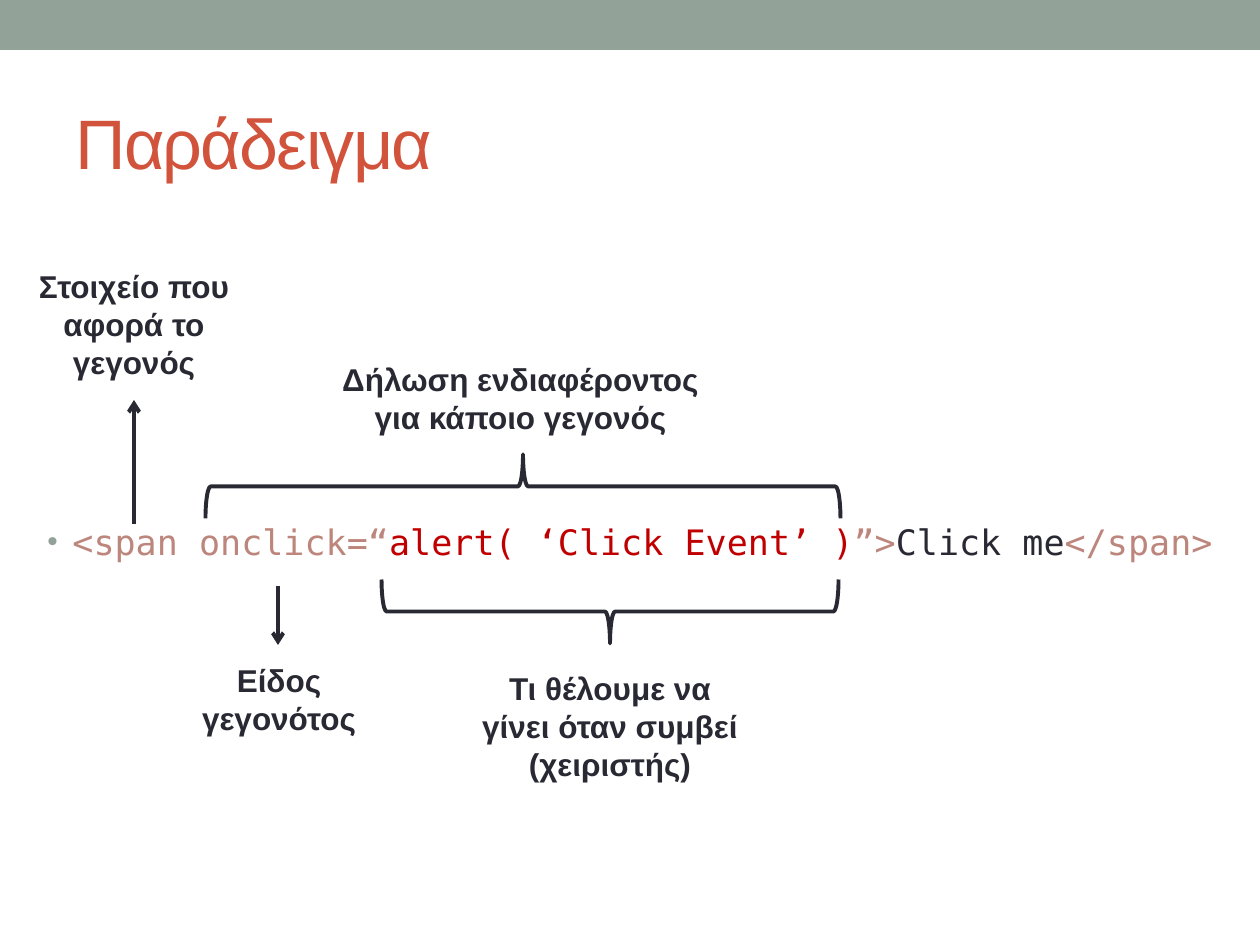
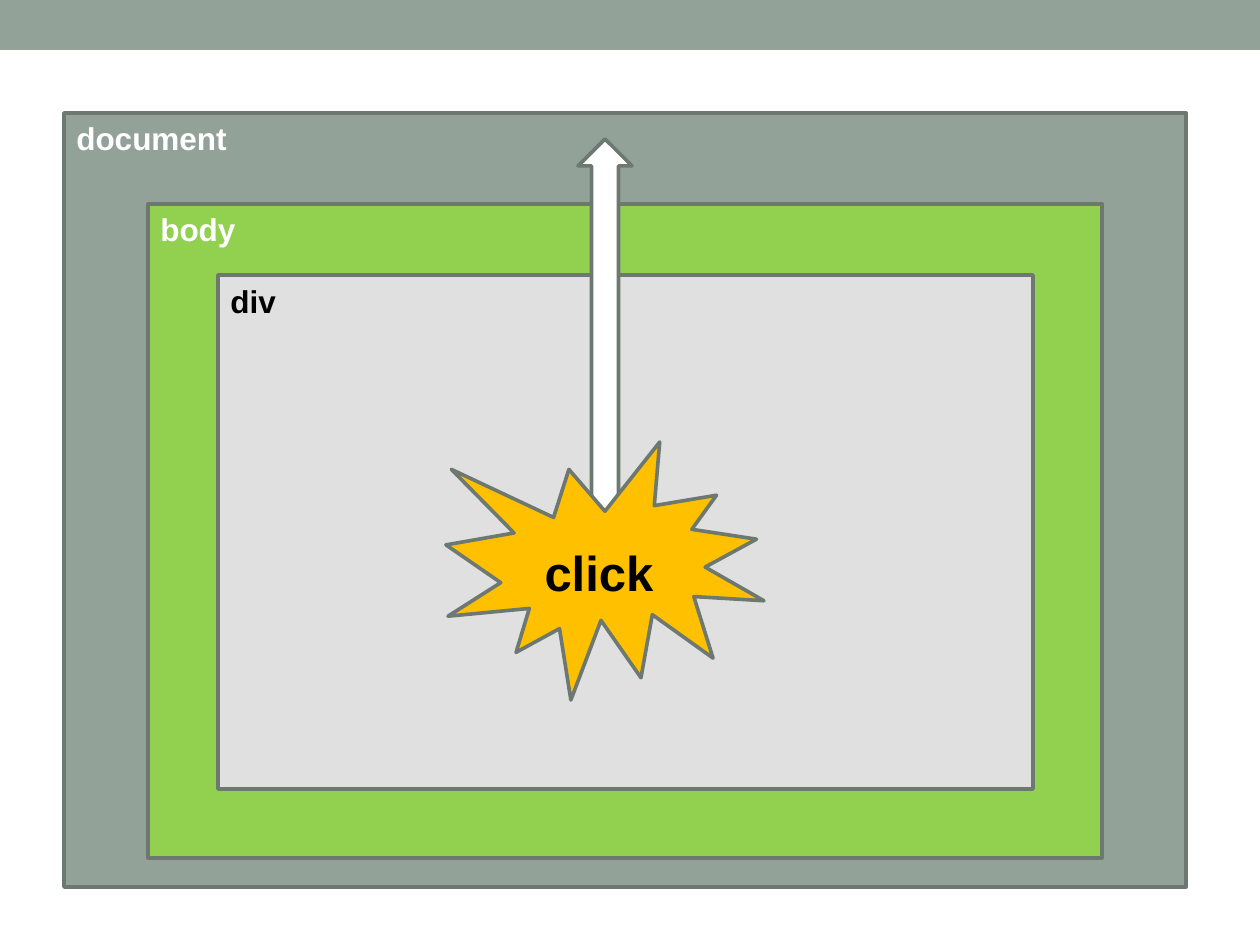
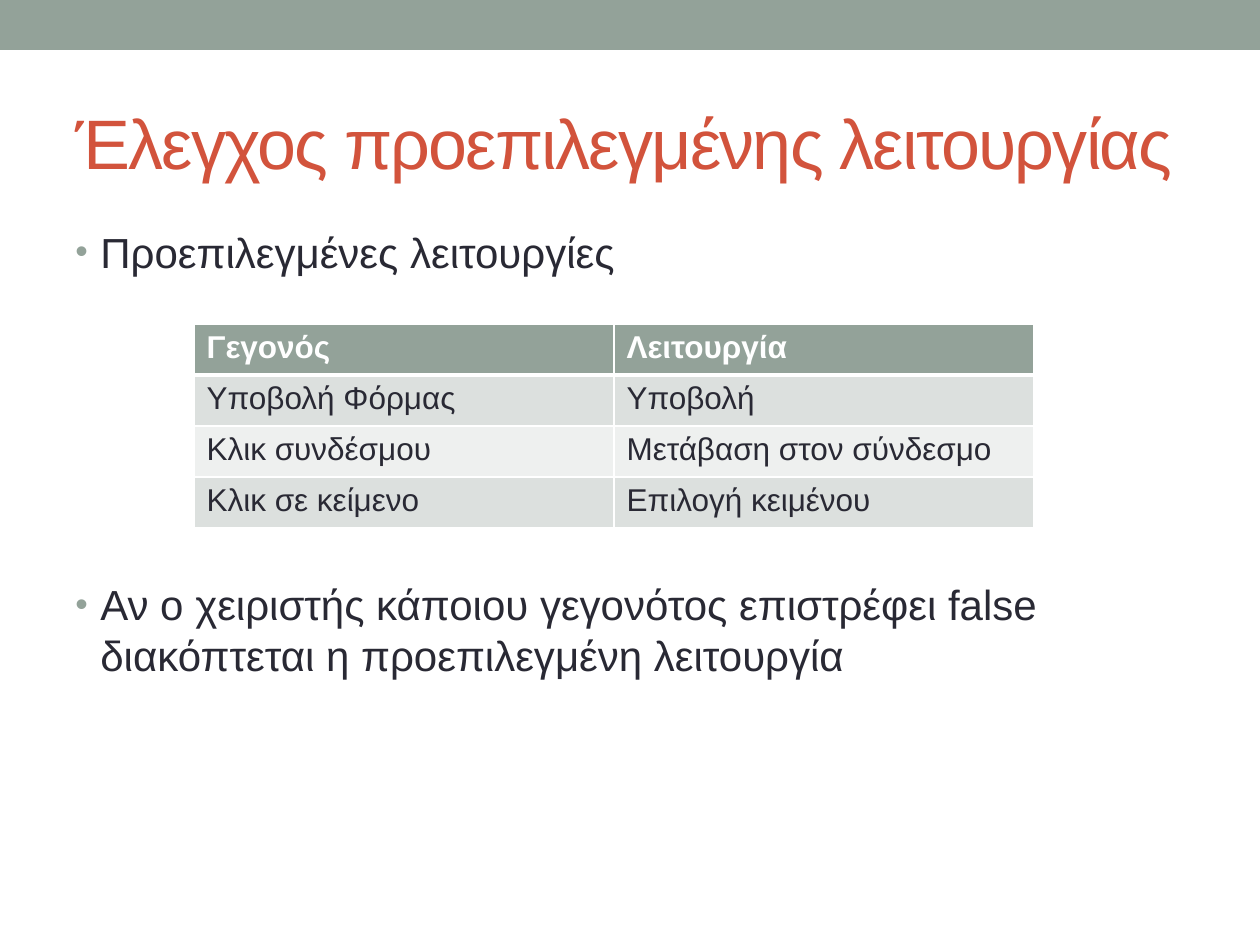
from typing import NamedTuple

import pptx
import pptx.dml.color
import pptx.enum.shapes
import pptx.enum.text
import pptx.oxml
import pptx.oxml.ns
import pptx.presentation
import pptx.shapes.autoshape
import pptx.slide
import pptx.text.text
import pptx.util
from lxml import etree

PX_PER_INCH = 126
SLIDE_WIDTH, SLIDE_HEIGHT = 1260, 945
SANS, MONO = "Arial", "DejaVu Sans Mono"
COLORS = {
    "sage": "93A299",
    "title": "D2533C",
    "ink": "292934",
    "tag": "BD867C",
    "script": "C00000",
    "outline": "6D7871",
    "white": "FFFFFF",
    "black": "000000",
    "green": "92D050",
    "gray": "E0E0E0",
    "amber": "FFC000",
    "row_dark": "DCE0DE",
    "row_light": "EEF0EF",
}
SHAPES = pptx.enum.shapes.MSO_SHAPE
LEFT, CENTER = pptx.enum.text.PP_ALIGN.LEFT, pptx.enum.text.PP_ALIGN.CENTER


class Box(NamedTuple):
    left: int
    top: int
    width: int
    height: int


class Label(NamedTuple):
    text: str
    box: Box
    color: str = "ink"
    size: int = 18
    align: pptx.enum.text.PP_ALIGN = CENTER


class Brace(NamedTuple):
    box: Box
    rotation: int


class Arrow(NamedTuple):
    x: int
    start: int
    end: int


class Figure(NamedTuple):
    kind: pptx.enum.shapes.MSO_SHAPE
    box: Box
    fill: str


def px(length: int) -> int:
    return pptx.util.Emu(round(length * pptx.util.Inches(1) / PX_PER_INCH))


def emu(box: Box) -> list[int]:
    return [px(length) for length in box]


def rgb(color: str) -> pptx.dml.color.RGBColor:
    return pptx.dml.color.RGBColor.from_string(COLORS[color])


def add_element(parent: etree._Element, tag: str, **attributes: str) -> etree._Element:
    return etree.SubElement(parent, pptx.oxml.ns.qn(tag), attributes)


# Text
def style(paragraph: pptx.text.text._Paragraph, size: int, color: str,
          bold: bool = False, name: str = SANS) -> None:
    font = paragraph.font
    font.name, font.size, font.bold = name, pptx.util.Pt(size), bold
    font.color.rgb = rgb(color)


def add_bullet(paragraph: pptx.text.text._Paragraph) -> None:
    properties = paragraph._p.get_or_add_pPr()
    properties.set("marL", str(px(25)))
    properties.set("indent", str(-px(25)))
    bullet_color = add_element(properties, "a:buClr")
    add_element(bullet_color, "a:srgbClr", val=COLORS["sage"])
    add_element(properties, "a:buSzPct", val="85000")
    add_element(properties, "a:buFont", typeface=SANS)
    add_element(properties, "a:buChar", char="•")


def add_text_frame(slide: pptx.slide.Slide, box: Box) -> pptx.text.text.TextFrame:
    frame = slide.shapes.add_textbox(*emu(box)).text_frame
    frame.word_wrap = True
    return frame


def add_label(slide: pptx.slide.Slide, label: Label) -> None:
    frame = add_text_frame(slide, label.box)
    frame.text = label.text
    for paragraph in frame.paragraphs:
        paragraph.alignment = label.align
        style(paragraph, label.size, label.color, bold=True)


def add_title(slide: pptx.slide.Slide, text: str) -> None:
    frame = add_text_frame(slide, Box(63, 73, 1134, 136))
    frame.vertical_anchor = pptx.enum.text.MSO_ANCHOR.MIDDLE
    frame.text = text
    paragraph = frame.paragraphs[0]
    style(paragraph, 40, "title")
    paragraph.runs[0]._r.get_or_add_rPr().set("spc", "-100")


# Shapes and lines
def add_figure(slide: pptx.slide.Slide, figure: Figure) -> pptx.shapes.autoshape.Shape:
    shape = slide.shapes.add_shape(figure.kind, *emu(figure.box))
    shape.shadow.inherit = False
    shape.fill.solid()
    shape.fill.fore_color.rgb = rgb(figure.fill)
    shape.line.color.rgb = rgb("outline")
    shape.line.width = pptx.util.Pt(2.08)
    return shape


def add_brace(slide: pptx.slide.Slide, brace: Brace) -> None:
    shape = slide.shapes.add_shape(SHAPES.LEFT_BRACE, *emu(brace.box))
    shape.rotation = brace.rotation
    shape.adjustments[0] = 0.08
    shape.shadow.inherit = False
    shape.fill.background()
    shape.line.color.rgb = rgb("ink")
    shape.line.width = pptx.util.Pt(2.25)


def add_arrow(slide: pptx.slide.Slide, arrow: Arrow) -> None:
    connector = slide.shapes.add_connector(
        pptx.enum.shapes.MSO_CONNECTOR.STRAIGHT,
        px(arrow.x), px(arrow.start), px(arrow.x), px(arrow.end))
    connector.line.color.rgb = rgb("ink")
    connector.line.width = pptx.util.Pt(2.25)
    add_element(connector.line._get_or_add_ln(), "a:tailEnd", type="arrow")
    add_element(connector._element.spPr, "a:effectLst")


def new_slide(deck: pptx.presentation.Presentation) -> pptx.slide.Slide:
    slide = deck.slides.add_slide(deck.slide_layouts[6])
    band = add_figure(slide, Figure(SHAPES.RECTANGLE, Box(0, 0, SLIDE_WIDTH, 50), "sage"))
    band.line.fill.background()
    return slide


# Slide 1: anatomy of an inline event handler
CODE = [
    ("<span onclick=“", "tag"),
    ("alert( ‘Click Event’ )", "script"),
    ("”>", "tag"),
    ("Click me", "ink"),
    ("</span>", "tag"),
]
CODE_BRACES = [Brace(Box(491, 169, 64, 635), 90), Brace(Box(578, 383, 64, 457), 270)]
CODE_ARROWS = [Arrow(278, 586, 645), Arrow(134, 524, 400)]
CODE_LABELS = [
    Label("Δήλωση ενδιαφέροντος για κάποιο γεγονός", Box(317, 354, 407, 89)),
    Label("Είδος γεγονότος", Box(155, 655, 248, 89)),
    Label("Τι θέλουμε να γίνει όταν συμβεί\n(χειριστής)", Box(460, 663, 300, 127)),
    Label("Στοιχείο που αφορά το γεγονός", Box(10, 261, 248, 127)),
]


def build_example(deck: pptx.presentation.Presentation) -> None:
    slide = new_slide(deck)
    add_title(slide, "Παράδειγμα")
    frame = add_text_frame(slide, Box(35, 220, 1191, 672))
    frame.margin_top = px(300)
    frame.margin_right = 0
    code_line = frame.paragraphs[0]
    add_bullet(code_line)
    style(code_line, 20, "ink", name=MONO)
    for text, color in CODE:
        run = code_line.add_run()
        run.text = text
        run.font.color.rgb = rgb(color)
    for brace in CODE_BRACES:
        add_brace(slide, brace)
    for arrow in CODE_ARROWS:
        add_arrow(slide, arrow)
    for label in CODE_LABELS:
        add_label(slide, label)


# Slide 2: a click rising through nested elements
BUBBLING_FIGURES = [
    Figure(SHAPES.RECTANGLE, Box(64, 113, 1122, 774), "sage"),
    Figure(SHAPES.RECTANGLE, Box(148, 204, 954, 654), "green"),
    Figure(SHAPES.RECTANGLE, Box(218, 275, 815, 514), "gray"),
    Figure(SHAPES.UP_ARROW, Box(578, 139, 54, 378), "white"),
    Figure(SHAPES.EXPLOSION1, Box(446, 442, 318, 258), "amber"),
]
BUBBLING_LABELS = [
    Label("document", Box(64, 113, 228, 50), "white", align=LEFT),
    Label("body", Box(148, 204, 228, 50), "white", align=LEFT),
    Label("div", Box(218, 276, 228, 50), "black", align=LEFT),
    Label("click", Box(485, 536, 228, 72), "black", size=28),
]


def build_bubbling(deck: pptx.presentation.Presentation) -> None:
    slide = new_slide(deck)
    for figure in BUBBLING_FIGURES:
        add_figure(slide, figure)
    for label in BUBBLING_LABELS:
        add_label(slide, label)


# Slide 3: default actions
DEFAULT_ACTIONS = [
    ("Γεγονός", "Λειτουργία"),
    ("Υποβολή Φόρμας", "Υποβολή"),
    ("Κλικ συνδέσμου", "Μετάβαση στον σύνδεσμο"),
    ("Κλικ σε κείμενο", "Επιλογή κειμένου"),
]
ACTION_POINTS = [
    ("Προεπιλεγμένες λειτουργίες", 0),
    ("Αν ο χειριστής κάποιου γεγονότος επιστρέφει false "
     "διακόπτεται η προεπιλεγμένη λειτουργία", 302),
]


def add_borders(cell: pptx.table._Cell, row: int) -> None:
    properties = cell._tc.get_or_add_tcPr()
    widths = {"L": 1, "R": 1, "T": 3 if row == 1 else 1, "B": 3 if row == 0 else 1}
    for side, points in widths.items():
        border = add_element(properties, f"a:ln{side}", w=str(pptx.util.Pt(points)))
        fill = add_element(border, "a:solidFill")
        add_element(fill, "a:srgbClr", val=COLORS["white"])


def add_action_table(slide: pptx.slide.Slide) -> None:
    row_count, column_count = len(DEFAULT_ACTIONS), len(DEFAULT_ACTIONS[0])
    box = Box(194, 324, 420 * column_count, 51 * row_count)
    actions = slide.shapes.add_table(row_count, column_count, *emu(box)).table
    for row, texts in enumerate(DEFAULT_ACTIONS):
        header = row == 0
        fill = "sage" if header else "row_dark" if row % 2 else "row_light"
        for column, text in enumerate(texts):
            cell = actions.cell(row, column)
            add_borders(cell, row)
            cell.fill.solid()
            cell.fill.fore_color.rgb = rgb(fill)
            cell.text = text
            style(cell.text_frame.paragraphs[0], 18,
                  "white" if header else "ink", bold=header)


def build_default_actions(deck: pptx.presentation.Presentation) -> None:
    slide = new_slide(deck)
    add_title(slide, "Έλεγχος προεπιλεγμένης λειτουργίας")
    frame = add_text_frame(slide, Box(63, 220, 1134, 672))
    frame.text = "\n".join(text for text, _ in ACTION_POINTS)
    for paragraph, (_, gap) in zip(frame.paragraphs, ACTION_POINTS):
        paragraph.space_before = px(gap)
        add_bullet(paragraph)
        style(paragraph, 24, "ink")
    add_action_table(slide)


def main() -> None:
    deck = pptx.Presentation()
    deck.slide_width, deck.slide_height = px(SLIDE_WIDTH), px(SLIDE_HEIGHT)
    build_example(deck)
    build_bubbling(deck)
    build_default_actions(deck)
    deck.save("out.pptx")


if __name__ == "__main__":
    main()
